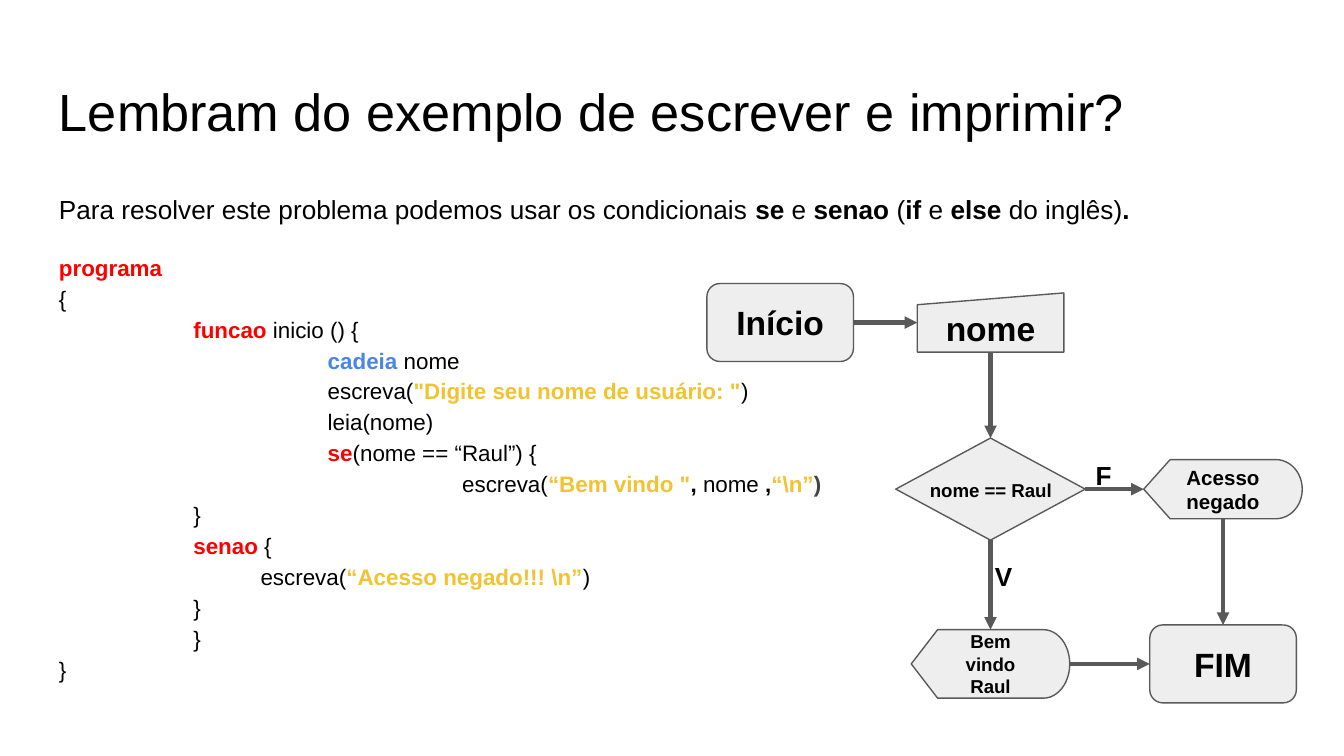
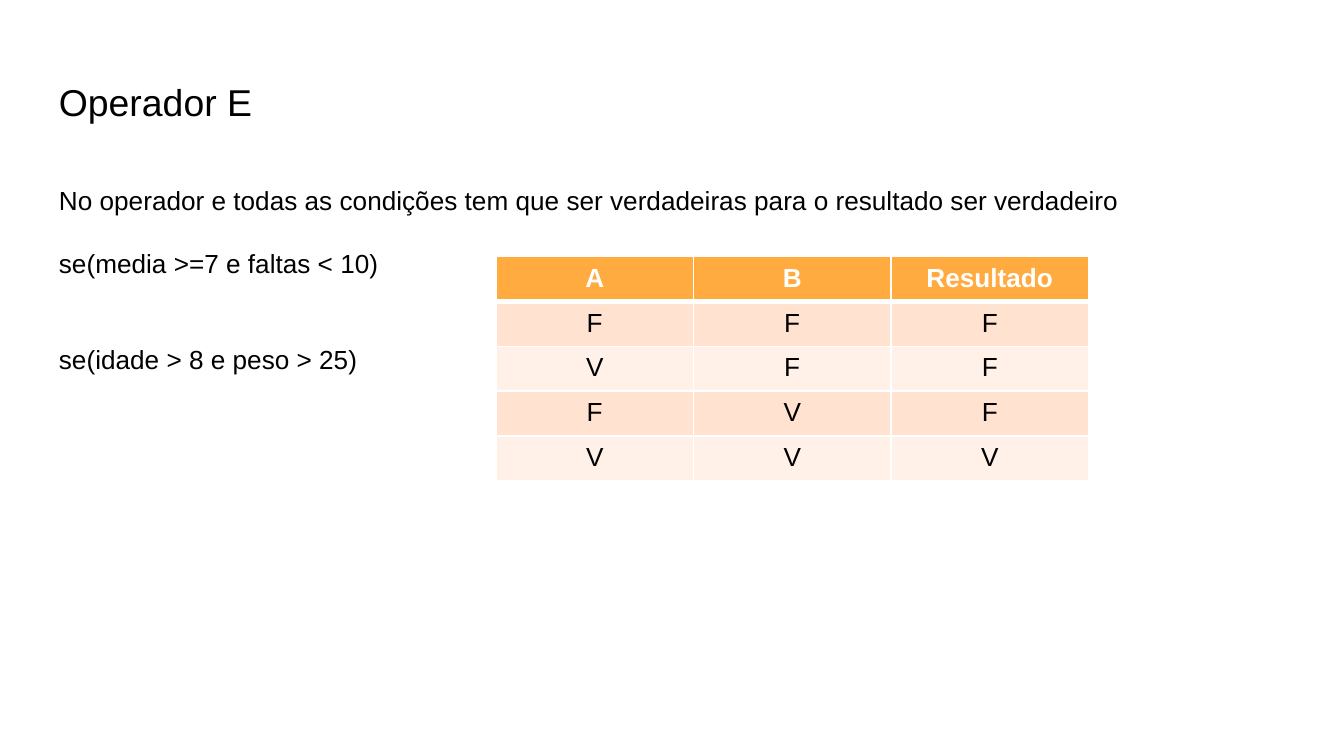
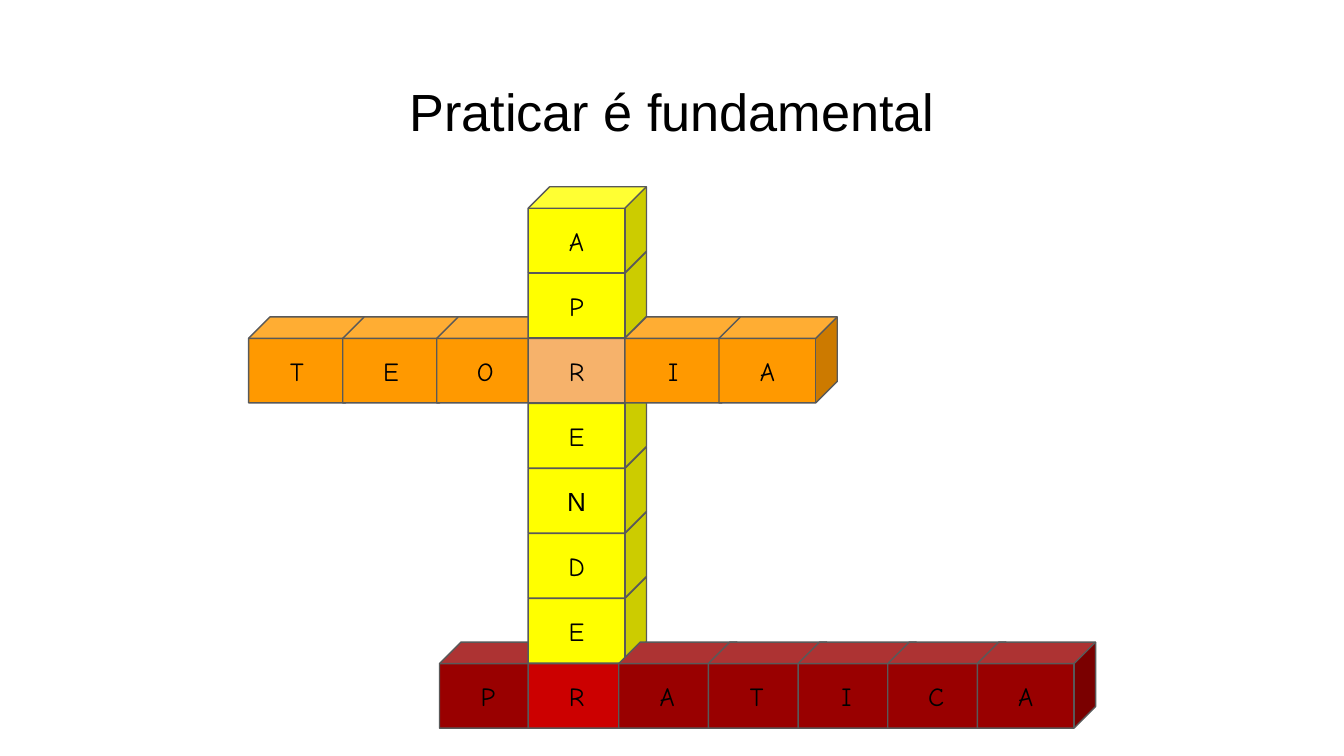
from dataclasses import dataclass

from lxml.etree import SubElement
from pptx import Presentation
from pptx.dml.color import RGBColor
from pptx.enum.shapes import MSO_CONNECTOR, MSO_SHAPE as SHAPE
from pptx.enum.text import MSO_ANCHOR as ANCHOR, PP_ALIGN as ALIGN
from pptx.oxml.ns import qn
from pptx.util import Inches, Pt

SLIDE_W, SLIDE_H = Inches(10), Inches(5.625)
UNIT = SLIDE_W // 100  # side of one square of the layout grid


@dataclass(frozen=True)
class Theme:
    font: str = "Arial"
    hand: str = "Comic Neue"
    ink: str = "000000"
    white: str = "FFFFFF"
    edge: str = "595959"
    node: str = "EEEEEE"
    keyword: str = "FF0000"
    type_name: str = "4A86E8"
    string: str = "F1C232"
    bracket: str = "434343"
    head: str = "FFAB40"
    bands: tuple = ("FFE2CF", "FFF1E8")
    column: str = "FFFF00"
    theory: str = "FF9900"
    theory_cross: str = "F6B26B"
    practice: str = "990000"
    practice_cross: str = "CC0000"
    title: int = 28
    subtitle: int = 20
    node_big: int = 18
    body: int = 14
    code: int = 12
    node_mid: int = 11
    node_small: int = 10
    thin: float = 0.75
    arrow: float = 2.25


T = Theme()


@dataclass(frozen=True)
class Box:
    """A rectangle in grid units."""
    x: float
    y: float
    w: float
    h: float

    def inside(self, x, y, w, h):
        return Box(self.x + x, self.y + y, w, h)

    def centred(self, cx, cy, w, h):
        return self.inside(cx - w / 2, cy - h / 2, w, h)

    def side(self, dx, dy):
        """Middle of the side that lies in the given direction."""
        return self.x + self.w * (1 + dx) / 2, self.y + self.h * (1 + dy) / 2

    def emu(self):
        return emu(self.x, self.y, self.w, self.h)


def emu(*units):
    return [round(u * UNIT) for u in units]


def rgb(color):
    return RGBColor.from_string(color)


def write(tf, paragraphs, size=T.body, font=T.font, color=T.ink, bold=False,
          align=ALIGN.LEFT, spacing=None, before=(), indents=()):
    """Fill a text frame; a run given as (text, colour) is bold."""
    for i, runs in enumerate(paragraphs):
        p = tf.paragraphs[0] if i == 0 else tf.add_paragraph()
        p.alignment = align
        if spacing:
            p.line_spacing = spacing
        if before:
            p.space_before = Pt(before[i])
        if indents:
            pPr = p._p.get_or_add_pPr()
            pPr.set("marL", str(Inches(indents[i])))
            pPr.set("indent", "0")
        for run in [runs] if isinstance(runs, str) else runs:
            text, tint = (run, None) if isinstance(run, str) else run
            r = p.add_run()
            r.text = text
            r.font.name, r.font.size = font, Pt(size)
            r.font.bold = bold or tint is not None
            r.font.color.rgb = rgb(tint or color)


def frame(sp, anchor, pad_y=1):
    tf = sp.text_frame
    tf.word_wrap, tf.vertical_anchor = True, anchor
    tf.margin_left = tf.margin_right = UNIT
    tf.margin_top = tf.margin_bottom = round(pad_y * UNIT)
    return tf


def text_box(s, box, paragraphs, pad_y=1, **fmt):
    sp = s.shapes.add_textbox(*box.emu())
    write(frame(sp, ANCHOR.TOP, pad_y), paragraphs, **fmt)


def title(s, text, width=93.2, size=T.title, **fmt):
    text_box(s, Box(3.4, 4.9, width, 6.3), [text], size=size, **fmt)


def outlined(shapes, kind, box, fill, text="", **fmt):
    sp = shapes.add_shape(kind, *box.emu())
    sp.shadow.inherit = False
    sp.fill.solid()
    sp.fill.fore_color.rgb = rgb(fill)
    sp.line.color.rgb = rgb(T.edge)
    sp.line.width = Pt(T.thin)
    if text:
        write(frame(sp, ANCHOR.MIDDLE), [text], align=ALIGN.CENTER, **fmt)


def arrow(s, start, end):
    cx = s.shapes.add_connector(MSO_CONNECTOR.STRAIGHT, *emu(*start, *end))
    cx.line.color.rgb = rgb(T.edge)
    cx.line.width = Pt(T.arrow)
    spPr = cx.element.spPr
    SubElement(spPr.find(qn("a:ln")), qn("a:tailEnd"), type="triangle")
    SubElement(spPr, qn("a:effectLst"))


def code_listing(s, box):
    kw, string = T.keyword, T.string
    lines = [
        (0, [("programa", kw)]),
        (0, "{"),
        (1, [("funcao", kw), " inicio () {"]),
        (2, [("cadeia", T.type_name), " nome"]),
        (2, ["escreva(", ('"Digite seu nome de usuário: "', string), ")"]),
        (2, "leia(nome)"),
        (2, [("se", kw), "(nome == “Raul”) {"]),
        (3, ["escreva(", ('“Bem vindo "', string), (", ", T.ink), "nome",
             (" ,", T.ink), ("“\\n”", string), (")", T.bracket)]),
        (1, "}"),
        (1, [("senao", kw), " {"]),
        (1.5, ["escreva(", ("“Acesso negado!!! \\n”", string), ")"]),
        (1, "}"),
        (1, "}"),
        (0, "}"),
    ]
    indents, paragraphs = zip(*lines)
    text_box(s, box, paragraphs, size=T.code, spacing=1.15, indents=indents)


def flowchart(s, box):
    left, mid, right = 5.45, 21.1, 38.4
    top, centre, bottom = 2.9, 15.3, 28.3
    terminal, display = SHAPE.ROUNDED_RECTANGLE, SHAPE.FLOWCHART_DISPLAY
    nodes = {
        "start": (terminal, left, top, 10.9, 5.8, "Início", T.node_big),
        "input": (SHAPE.FLOWCHART_MANUAL_INPUT, mid, top, 10.9, 4.4, "nome", T.node_big),
        "welcome": (display, mid, bottom, 11.8, 5.1, "Bem vindo Raul", T.node_small),
        "end": (terminal, right, bottom, 10.9, 5.8, "FIM", T.node_big),
        "test": (SHAPE.FLOWCHART_DECISION, mid, centre, 14.1, 7.6, "", T.node_small),
        "denied": (display, right, centre, 11.8, 4.4, "Acesso negado", T.node_mid),
    }
    places = {}
    for name, (kind, cx, cy, w, h, text, size) in nodes.items():
        places[name] = box.centred(cx, cy, w, h)
        outlined(s.shapes, kind, places[name], T.node, text, size=size, bold=True)

    east, south = (1, 0), (0, 1)
    for a, b, (dx, dy) in [("start", "input", east), ("welcome", "end", east),
                           ("input", "test", south), ("test", "welcome", south),
                           ("test", "denied", east), ("denied", "end", south)]:
        arrow(s, places[a].side(dx, dy), places[b].side(-dx, -dy))

    for text, x, y, w, h, size in [("nome == Raul", 15.6, 13.7, 15.2, 4.4, T.node_small),
                                   ("V", 20.5, 19.6, 1.9, 2.1, T.body),
                                   ("F", 28, 12.1, 1.9, 2.1, T.body)]:
        text_box(s, box.inside(x, y, w, h), [text], size=size, bold=True)


def border(cell, **widths):
    tcPr = cell._tc.get_or_add_tcPr()
    for side in "LRTB":
        ln = SubElement(tcPr, qn(f"a:ln{side}"), w=str(Pt(widths.get(side, 1))))
        SubElement(SubElement(ln, qn("a:solidFill")), qn("a:srgbClr"), val=T.white)


def truth_table(s, box):
    rows = [("A", "B", "Resultado"), "FFF", "VFF", "FVF", "VVV"]
    table = s.shapes.add_table(len(rows), len(rows[0]), *box.emu()).table
    for i, row in enumerate(rows):
        head = i == 0
        for j, text in enumerate(row):
            cell = table.cell(i, j)
            border(cell, B=3 if head else 1, T=3 if i == 1 else 1)
            cell.fill.solid()
            cell.fill.fore_color.rgb = rgb(T.head if head else T.bands[(i - 1) % 2])
            write(cell.text_frame, [text], align=ALIGN.CENTER, bold=head,
                  color=T.white if head else T.ink)


def crossword(s, box):
    """Two words of cubes crossing a column of cubes, stacked back to front."""
    column, column_x, row_step = "APRENDER", 20.8, 4.84
    # word, left, column step, crossing letter, crossing row, colours
    words = [("PRATICA", 14.2, 6.67, 1, 7, T.practice, T.practice_cross),
             ("TEORIA", 0, 7, 3, 2, T.theory, T.theory_cross)]
    shapes = s.shapes.add_group_shape().shapes

    def cube(letter, x, row, fill):
        outlined(shapes, SHAPE.CUBE, box.inside(x, row * row_step, 8.8, 6.4), fill,
                 letter, font=T.font if letter == "N" else T.hand)

    def half(word, left, step, cross, row, fill, _, after):
        for i, letter in enumerate(word):
            if i != cross and (i > cross) == after:
                cube(letter, left + i * step, row, fill)

    for word in words:
        half(*word, after=False)
    crossings = {row: fill for *_, row, _, fill in words}
    for row in reversed(range(len(column))):
        cube(column[row], column_x, row, crossings.get(row, T.column))
    for word in reversed(words):
        half(*word, after=True)


def conditionals_slide(s):
    title(s, "Lembram do exemplo de escrever e imprimir?")
    code_listing(s, Box(3.4, 17.6, 93.2, 37.4))
    text_box(s, Box(3.4, 13.4, 92.2, 9.5), [[
        "Para resolver este problema podemos usar os condicionais ", ("se", T.ink),
        " e ", ("senao ", T.ink), "(", ("if", T.ink), " e ", ("else", T.ink),
        " do inglês)", (".", T.ink)]])
    flowchart(s, Box(52.6, 21.1, 44.3, 31.2))


def operator_slide(s):
    title(s, "Operador E", width=20, size=T.subtitle)
    text_box(s, Box(3.4, 13.2, 86.6, 15.1), [
        "No operador e todas as condições tem que ser verdadeiras para o resultado ser verdadeiro",
        "se(media >=7 e faltas < 10)",
        "se(idade > 8 e peso > 25)"], pad_y=0.5, before=(0, 17, 34.5))
    truth_table(s, Box(36.9, 19.1, 44.1, 16.7))


def practice_slide(s):
    title(s, "Praticar é fundamental", align=ALIGN.CENTER)
    crossword(s, Box(18.5, 13.9, 63, 40.3))


def main():
    prs = Presentation()
    prs.slide_width, prs.slide_height = SLIDE_W, SLIDE_H
    for build in (conditionals_slide, operator_slide, practice_slide):
        build(prs.slides.add_slide(prs.slide_layouts[6]))
    prs.save("out.pptx")


if __name__ == "__main__":
    main()
